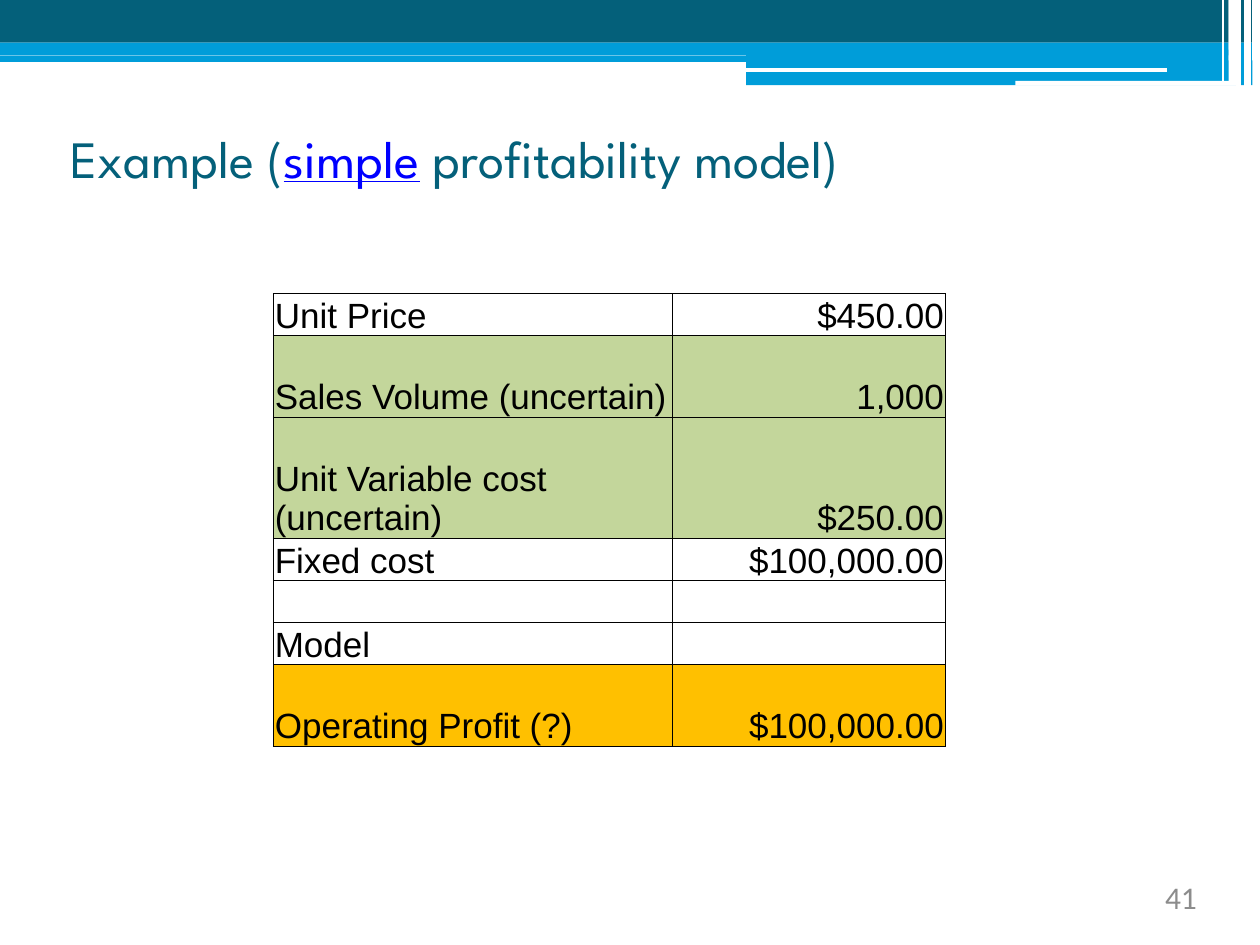
"""Build the profitability model slide with its banner, title and table."""
from lxml.etree import SubElement
from pptx import Presentation
from pptx.dml.color import RGBColor
from pptx.enum.shapes import MSO_CONNECTOR, MSO_SHAPE
from pptx.enum.text import MSO_ANCHOR, MSO_AUTO_SIZE, PP_ALIGN
from pptx.oxml.ns import qn
from pptx.util import Cm, Pt

TEAL = RGBColor(0x04, 0x60, 0x7A)
BLUE = RGBColor(0x00, 0x9D, 0xD9)
WHITE = RGBColor(0xFF, 0xFF, 0xFF)
BLACK = RGBColor(0x00, 0x00, 0x00)
LINK = RGBColor(0x00, 0x00, 0xFF)
GREY = RGBColor(0x8C, 0x8C, 0x8C)
GREEN = RGBColor(0xC3, 0xD6, 0x9B)
AMBER = RGBColor(0xFF, 0xC0, 0x00)


def add_text(p, text, font="Arial", size=20, color=BLACK, underline=None, align=None):
    r = p.add_run()
    r.text = text
    r.font.name = font
    r.font.size = Pt(size)
    r.font.color.rgb = color
    r.font.underline = underline
    if align is not None:
        p.alignment = align


def add_border(cell):
    tcPr = cell._tc.get_or_add_tcPr()
    for i, side in enumerate(("a:lnL", "a:lnR", "a:lnT", "a:lnB")):
        ln = tcPr.makeelement(qn(side), {"w": str(Pt(0.5))})
        fill = SubElement(ln, qn("a:solidFill"))
        SubElement(fill, qn("a:srgbClr"), val=str(BLACK))
        tcPr.insert(i, ln)


prs = Presentation()
prs.slide_width, prs.slide_height = Cm(25.4), Cm(19.05)
s = prs.slides.add_slide(prs.slide_layouts[5])

bars = [
    (0, 1.12, 15.04, 0.46, BLUE),
    (24.92, 0, 0.32, 0.86, TEAL),
    (0, 0, 24.77, 0.86, TEAL),
    (24.92, 0.86, 0.32, 0.4, BLUE),
    (0, 0.86, 24.77, 0.26, BLUE),
    (15.04, 1, 9.73, 0.24, BLUE),
    (15.04, 1.22, 10.21, 0.5, BLUE),
    (20.47, 1.63, 4.45, 0.1, WHITE),
    (24.77, 0, 0.15, 1.63, WHITE),
]
bars[0] = (0, 1.12, 15.04, 0.13, BLUE)
for x, y, w, h, color in bars:
    sp = s.shapes.add_shape(MSO_SHAPE.RECTANGLE, Cm(x), Cm(y), Cm(w), Cm(h))
    sp.shadow.inherit = False
    sp.fill.solid()
    sp.fill.fore_color.rgb = color
    sp.line.fill.background()

lines = [
    (15.01, 1.42, 23.52, 1.42, 2.25),
    (25.17, 0, 25.17, 1.73, 3),
    (25.1, 0, 25.1, 1.73, 1),
    (24.97, 0, 24.97, 1.73, 3),
    (24.66, 0, 24.66, 1.63, 1),
]
for x1, y1, x2, y2, width in lines:
    line = s.shapes.add_connector(MSO_CONNECTOR.STRAIGHT, Cm(x1), Cm(y1), Cm(x2), Cm(y2))
    line.line.color.rgb = WHITE
    line.line.width = Pt(width)
    SubElement(line._element.spPr, qn("a:effectLst"))

title = s.shapes.title
title.left, title.top, title.width, title.height = Cm(1.42), Cm(2.54), Cm(22.53), Cm(1.27)
number = s.shapes.add_textbox(Cm(18.29), Cm(17.7), Cm(5.84), Cm(0.76))
for sp in (title, number):
    tf = sp.text_frame
    tf.margin_left = tf.margin_right = tf.margin_top = tf.margin_bottom = 0
    tf.word_wrap = True
    tf.auto_size = MSO_AUTO_SIZE.NONE

title.text_frame.vertical_anchor = MSO_ANCHOR.BOTTOM
p = title.text_frame.paragraphs[0]
p.alignment = PP_ALIGN.LEFT
for text, color, underline in (
    ("Example (", TEAL, None),
    ("simple", LINK, True),
    (" profitability model)", TEAL, None),
):
    add_text(p, text, font="League Spartan", size=30, color=color, underline=underline)
add_text(number.text_frame.paragraphs[0], "41", font="Calibri", size=18, color=GREY,
         align=PP_ALIGN.RIGHT)

rows = [
    ("Unit Price", "$450.00", 0.85, WHITE),
    ("Sales Volume (uncertain)", "1,000", 1.64, GREEN),
    ("Unit Variable cost (uncertain)", "$250.00", 2.44, GREEN),
    ("Fixed cost", "$100,000.00", 0.85, WHITE),
    ("", "", 0.85, WHITE),
    ("Model", "", 0.85, WHITE),
    ("Operating Profit (?)", "$100,000.00", 1.64, AMBER),
]
height = sum(row[2] for row in rows)
table = s.shapes.add_table(len(rows), 2, Cm(5.51), Cm(5.92), Cm(13.55), Cm(height)).table
table.first_row = table.horz_banding = False
table.columns[0].width, table.columns[1].width = Cm(8.05), Cm(5.5)
for i, (label, value, row_height, color) in enumerate(rows):
    table.rows[i].height = Cm(row_height)
    for j, (text, align) in enumerate(((label, PP_ALIGN.LEFT), (value, PP_ALIGN.RIGHT))):
        cell = table.cell(i, j)
        cell.margin_left = cell.margin_right = cell.margin_top = Cm(0.03)
        cell.margin_bottom = 0
        cell.vertical_anchor = MSO_ANCHOR.BOTTOM
        cell.fill.solid()
        cell.fill.fore_color.rgb = color
        add_border(cell)
        if text:
            add_text(cell.text_frame.paragraphs[0], text, align=align)

prs.save("out.pptx")
